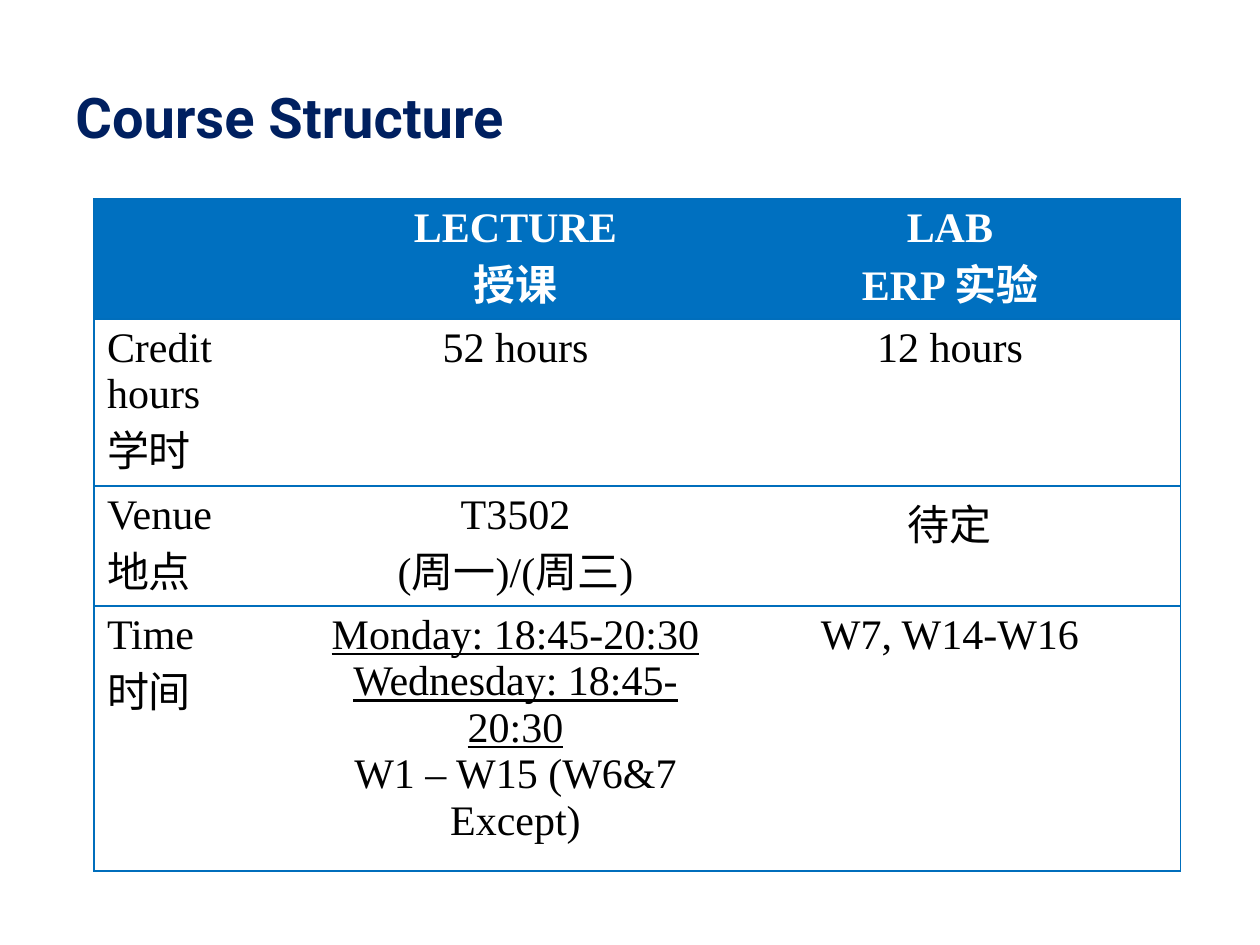
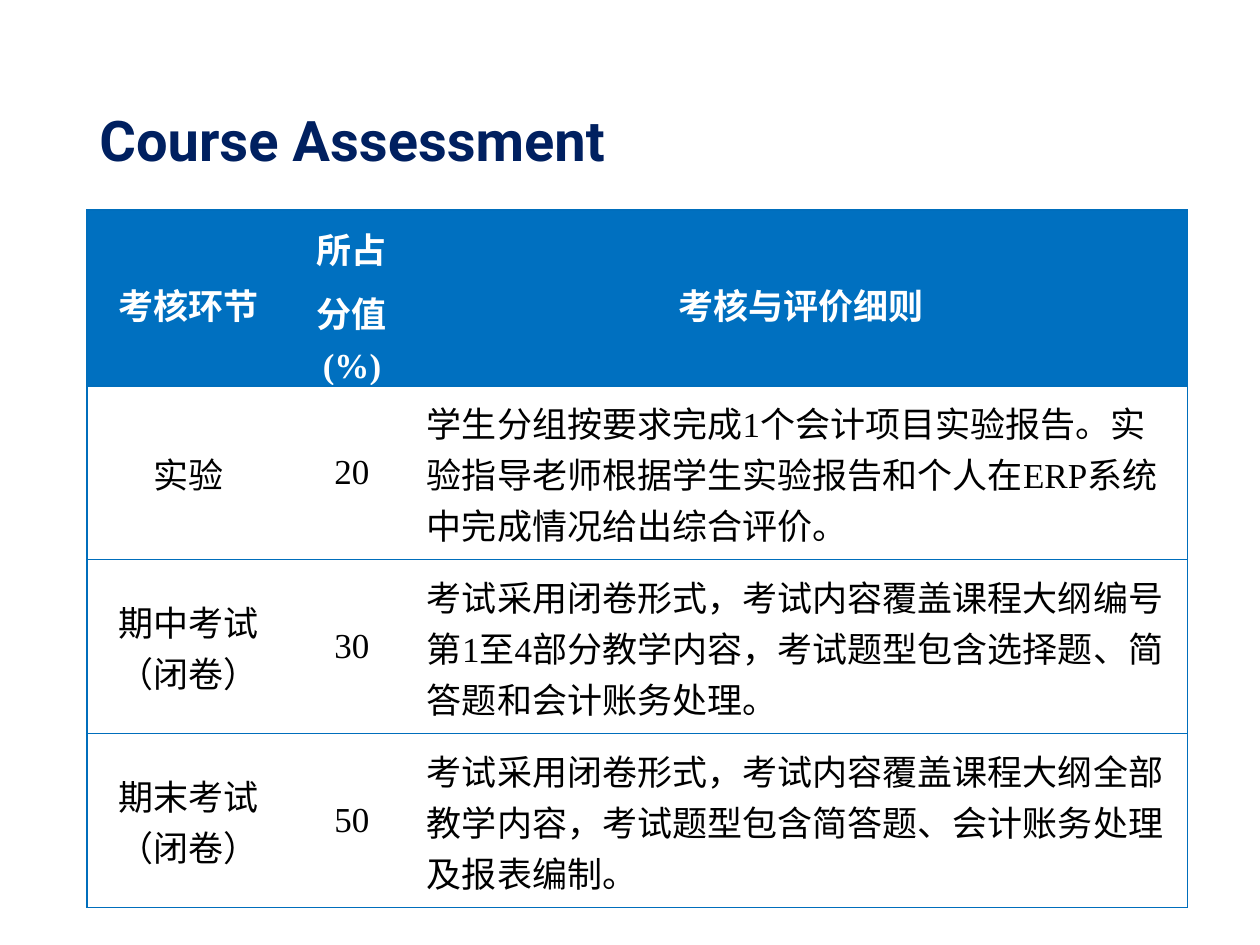
from dataclasses import dataclass

from lxml import etree
from pptx import Presentation
from pptx.dml.color import RGBColor
from pptx.enum.text import MSO_ANCHOR, PP_ALIGN
from pptx.oxml.ns import qn
from pptx.util import Pt

LEFT, CENTER = PP_ALIGN.LEFT, PP_ALIGN.CENTER
TOP, MIDDLE, BOTTOM = MSO_ANCHOR.TOP, MSO_ANCHOR.MIDDLE, MSO_ANCHOR.BOTTOM

EMU_PER_PX = 914400 / 126
SLIDE_WIDTH, SLIDE_HEIGHT = 1260, 945
BLANK_LAYOUT = 6

TITLE_FONT, TABLE_FONT = "Roboto", "Times New Roman"
NAVY, HEADER_BLUE, BORDER_BLUE = "002060", "0070C0", "006EBC"
WHITE, BLACK = "FFFFFF", "000000"
TITLE_SIZE, BORDER_WIDTH = 32, 0.75
SIDE_MARGIN = 13

STRUCTURE_ROWS = [
    ["", "LECTURE\n授课", "LAB\nERP 实验"],
    ["Credit hours\n学时", "52 hours", "12 hours"],
    ["Venue\n地点", "T3502\n(周一)/(周三)", "待定"],
    ["Time\n时间",
     "Monday: 18:45-20:30\nWednesday: 18:45-20:30\nW1 – W15 (W6&7 Except)",
     "W7, W14-W16"],
]
CLASS_TIMES = ("Monday: 18:45-20:30", "Wednesday: 18:45-20:30")

ASSESSMENT_ROWS = [
    ["考核环节", "所占分值(%)", "考核与评价细则"],
    ["实验", "20",
     "学生分组按要求完成1个会计项目实验报告。实验指导老师根据学生实验报告和个人在ERP系统中完成情况给出综合评价。"],
    ["期中考试（闭卷）", "30",
     "考试采用闭卷形式，考试内容覆盖课程大纲编号第1至4部分教学内容，考试题型包含选择题、简答题和会计账务处理。"],
    ["期末考试（闭卷）", "50",
     "考试采用闭卷形式，考试内容覆盖课程大纲全部教学内容，考试题型包含简答题、会计账务处理及报表编制。"],
]


@dataclass
class TableLook:
    size: int
    alignments: tuple
    anchor: object
    vertical_margin: int
    header_spacing: float = 1.0
    underlined: tuple = ()
    title_font_lines: tuple = ()


def px(length):
    return round(length * EMU_PER_PX)


def color(value):
    return RGBColor.from_string(value)


def add_span(para, text, font, size, ink, bold=False, underline=False):
    span = para.add_run()
    span.text = text
    span.font.name = font
    span.font.size = Pt(size)
    span.font.bold = bold
    span.font.underline = underline
    span.font.color.rgb = color(ink)


def add_title(page, text, left, top, width, height, anchor):
    box = page.shapes.add_textbox(px(left), px(top), px(width), px(height))
    frame = box.text_frame
    frame.word_wrap = True
    frame.vertical_anchor = anchor
    add_span(frame.paragraphs[0], text, TITLE_FONT, TITLE_SIZE, NAVY, bold=True)


def set_borders(cell, visible_sides):
    properties = cell._tc.get_or_add_tcPr()
    for position, side in enumerate("LRTB"):
        line = etree.Element(qn("a:ln" + side), w=str(Pt(BORDER_WIDTH)))
        if side in visible_sides:
            fill = etree.SubElement(line, qn("a:solidFill"))
            etree.SubElement(fill, qn("a:srgbClr"), val=BORDER_BLUE)
        else:
            etree.SubElement(line, qn("a:noFill"))
        properties.insert(position, line)


def fill_cell(cell, text, alignment, is_header, look):
    cell.fill.solid()
    cell.fill.fore_color.rgb = color(HEADER_BLUE if is_header else WHITE)
    cell.vertical_anchor = look.anchor
    cell.margin_left = cell.margin_right = px(SIDE_MARGIN)
    cell.margin_top = cell.margin_bottom = px(look.vertical_margin)
    frame = cell.text_frame
    for index, line in enumerate(text.split("\n")):
        para = frame.add_paragraph() if index else frame.paragraphs[0]
        para.alignment = alignment
        if is_header:
            para.line_spacing = look.header_spacing
        if line:
            font = TITLE_FONT if line in look.title_font_lines else TABLE_FONT
            add_span(para, line, font, look.size, WHITE if is_header else BLACK,
                     is_header, line in look.underlined)


def add_course_table(page, left, top, widths, heights, rows, look):
    frame = page.shapes.add_table(len(rows), len(widths), px(left), px(top),
                                  px(sum(widths)), px(sum(heights)))
    table = frame.table
    table.horz_banding = False
    for column, width in zip(table.columns, widths):
        column.width = px(width)
    for row, height in zip(table.rows, heights):
        row.height = px(height)
    last = len(widths) - 1
    for r, texts in enumerate(rows):
        for c, text in enumerate(texts):
            cell = table.cell(r, c)
            alignment = CENTER if r == 0 else look.alignments[c]
            fill_cell(cell, text, alignment, r == 0, look)
            set_borders(cell, "TB" + "L" * (c == 0) + "R" * (c == last))


def add_structure_page(deck):
    page = deck.slides.add_slide(deck.slide_layouts[BLANK_LAYOUT])
    add_title(page, "Course Structure", 63, 38, 1134, 157, MIDDLE)
    look = TableLook(24, (LEFT, CENTER, CENTER), TOP, 6,
                     underlined=CLASS_TIMES, title_font_lines=("待定",))
    add_course_table(page, 94, 199, (218, 407, 462), (120, 167, 120, 265),
                     STRUCTURE_ROWS, look)


def add_assessment_page(deck):
    page = deck.slides.add_slide(deck.slide_layouts[BLANK_LAYOUT])
    add_title(page, "Course Assessment", 87, 77, 1086, 102, BOTTOM)
    look = TableLook(20, (CENTER, CENTER, LEFT), MIDDLE, 0, header_spacing=1.25)
    add_course_table(page, 87, 210, (203, 124, 774), (176, 174, 174, 174),
                     ASSESSMENT_ROWS, look)


def main():
    deck = Presentation()
    deck.slide_width = px(SLIDE_WIDTH)
    deck.slide_height = px(SLIDE_HEIGHT)
    add_structure_page(deck)
    add_assessment_page(deck)
    deck.save("out.pptx")


if __name__ == "__main__":
    main()
